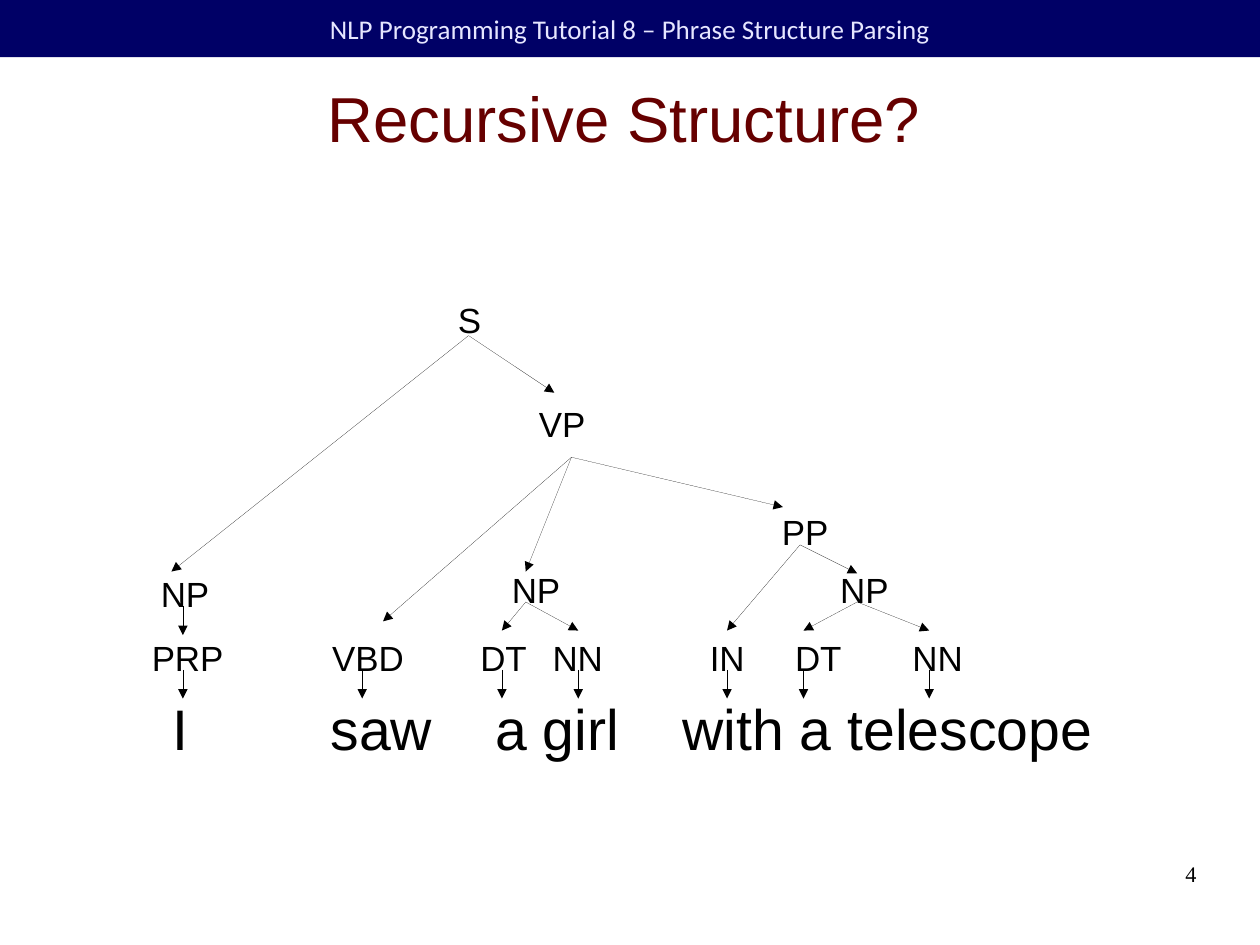
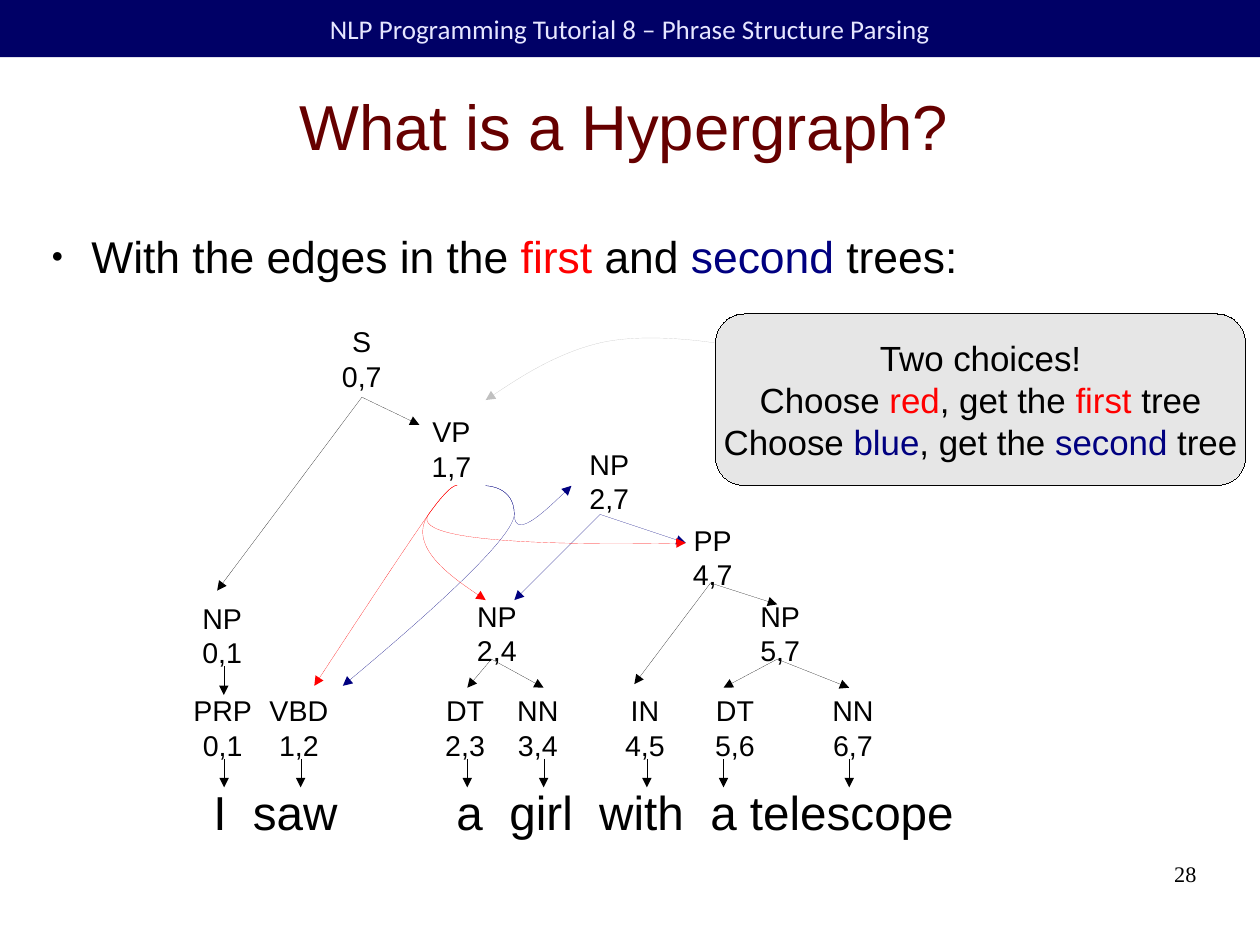
from lxml import etree
from pptx import Presentation
from pptx.dml.color import RGBColor
from pptx.enum.shapes import MSO_CONNECTOR, MSO_SHAPE
from pptx.enum.text import MSO_ANCHOR, MSO_AUTO_SIZE, PP_ALIGN
from pptx.oxml.ns import qn
from pptx.util import Pt

CENTER, RIGHT, LEFT = PP_ALIGN.CENTER, PP_ALIGN.RIGHT, PP_ALIGN.LEFT
TOP, MIDDLE = MSO_ANCHOR.TOP, MSO_ANCHOR.MIDDLE
STRAIGHT, RECT, ROUND = MSO_CONNECTOR.STRAIGHT, MSO_SHAPE.RECTANGLE, MSO_SHAPE.ROUNDED_RECTANGLE

WIDTH, HEIGHT = 793.75, 595.25
BLACK, WHITE, RED, NAVY, SILVER = "000000", "FFFFFF", "FF0000", "000080", "C0C0C0"
BAND, BAND_TEXT, MAROON, PALE_GRAY = "000066", "E6E6FF", "660000", "E6E6E6"
INSETS = (7.2, 3.6, 7.2, 3.6)
NO_INSETS = (0, 0, 0, 0)
HEADER = "NLP Programming Tutorial 8 – Phrase Structure Parsing"

RECURSIVE = {
    "title": "Recursive Structure?", "title_top": 27.8, "number": "4",
    "words": ["I", "saw", "a girl", "with a telescope"], "tabs": [99.6, 203.4, 321.4],
    "words_box": (101.5, 433, 605, 47.5), "words_size": 36,
    "tag_size": 22, "tag_height": 31.7, "default_width": 44,
    "tag_widths": {"PRP": 59, "VBD": 59, "IN": 36, "S": 29},
    "leaf_top": 397.5,
    "leaves": [("PRP", 118.2), ("VBD", 231.8), ("DT", 317.2), ("NN", 364),
               ("IN", 458.2), ("DT", 515.5), ("NN", 590.7)],
    "inner": [("NP", 544.6, 354.7), ("NP", 337.7, 354.7), ("PP", 507.2, 317.8),
              ("VP", 354.2, 250), ("S", 295.7, 184.3), ("NP", 116.6, 357.4)],
    "leaf_arrow_x": [115.2, 228.2, 316.2, 364.3, 458, 506.2, 585.4], "leaf_arrow_top": 422,
    "edges": [
        ((295.2, 211.4), [(108, 360), (349.2, 247.4)], BLACK),
        ((360, 288), [(241.3, 391.4), (331.2, 360), (493.2, 319.4)], BLACK),
        ((504, 343.2), [(458, 397.2), (540, 361.2)], BLACK),
        ((540, 379.2), [(506.2, 397.2), (585.4, 397.2)], BLACK),
        ((331.2, 379.2), [(316.2, 397.2), (364.3, 397.2)], BLACK),
        ((115.2, 382), [(115.2, 400)], BLACK),
    ],
}

HYPERGRAPH = {
    "title": "What is a Hypergraph?", "title_top": 33.4, "number": "28",
    "words": ["I", "saw", "a", "girl", "with", "a telescope"],
    "tabs": [24.8, 153, 186.4, 243, 313],
    "words_box": (127.4, 489.6, 491, 40.3), "words_size": 30,
    "tag_size": 18, "tag_height": 47.5, "default_width": 40,
    "tag_widths": {"PRP": 51, "VBD": 51},
    "leaf_top": 433.2,
    "leaves": [("PRP\n0,1", 140.3), ("VBD\n1,2", 188.3), ("DT\n2,3", 293), ("NN\n3,4", 338.8),
               ("IN\n4,5", 406.3), ("DT\n5,6", 463), ("NN\n6,7", 537.3)],
    "inner": [("NP\n5,7", 491.5, 373.7), ("NP\n2,4", 313, 373.7), ("PP\n4,7", 449, 325.8),
              ("VP\n1,7", 284.4, 257.5), ("S\n0,7", 227.9, 200.7), ("NP\n2,7", 383.8, 277.7),
              ("NP\n0,1", 140, 375)],
    "leaf_arrow_x": [141.2, 189.4, 294.4, 342.5, 407.5, 455.8, 535], "leaf_arrow_top": 478,
    "edges": [
        ((489.6, 415.2), [(455.8, 433.2), (535, 433.2)], BLACK),
        ((309.6, 415.2), [(294.4, 433.2), (342.5, 433.2)], BLACK),
        ((447.6, 367.2), [(399.6, 431), (489.6, 380.7)], BLACK),
        ((228, 250.2), [(264.2, 267.6), (136.8, 372)], BLACK),
        ((141, 419.8), [(141, 437.8)], BLACK),
        ((378, 324), [(432, 342), (324, 378)], NAVY),
    ],
}

BLUE_STEM = [(306, 306), (306, 306), (324, 306), (324, 324)]
RED_STEM = [(288, 306), (288, 306), (285, 303), (270, 324)]
HYPEREDGES = [
    (BLUE_STEM + [(324, 342), (216, 432), (216, 432)], NAVY),
    (RED_STEM + [(255, 345), (198, 432), (198, 432)], RED),
    (RED_STEM + [(255, 345.6), (306, 378), (306, 378)], RED),
    (RED_STEM + [(255, 345.6), (432, 342), (432, 342)], RED),
    ([(450, 216), (450, 216), (408, 209), (378, 216), (348, 223), (306, 252), (306, 252)], SILVER),
    (BLUE_STEM + [(324, 342), (360, 306), (360, 306)], NAVY),
]

BULLET = [("With the edges in the ", BLACK), ("first", RED), (" and ", BLACK),
          ("second", NAVY), (" trees:", BLACK)]
CHOICES = [[("Two choices!", BLACK)]] + [
    [("Choose ", BLACK), (pick, color), (", get the ", BLACK), (tree, color), (" tree", BLACK)]
    for pick, tree, color in [("red", "first", RED), ("blue", "second", NAVY)]]


def rgb(value):
    return RGBColor.from_string(value)


def points(values):
    return [Pt(v) for v in values]


def add_xml(parent, tag, **attrs):
    return etree.SubElement(parent, qn(tag), attrs)


def write(tf, paragraphs, size, font="Arial", align=CENTER, anchor=TOP, insets=INSETS, wrap=True):
    left, top, right, bottom = points(insets)
    frame = {"margin_left": left, "margin_top": top, "margin_right": right, "margin_bottom": bottom,
             "auto_size": MSO_AUTO_SIZE.NONE, "word_wrap": wrap, "vertical_anchor": anchor}
    for name, value in frame.items():
        setattr(tf, name, value)
    for i, runs in enumerate(paragraphs):
        p = tf.add_paragraph() if i else tf.paragraphs[0]
        p.alignment = align
        for text, color in runs:
            r = p.add_run()
            r.text = text
            r.font.name, r.font.size = font, Pt(size)
            r.font.color.rgb = rgb(color)


def text_box(s, box, paragraphs, size, **fmt):
    sp = s.shapes.add_textbox(*points(box))
    write(sp.text_frame, paragraphs, size, **fmt)
    return sp


def place(sp, box):
    sp.left, sp.top, sp.width, sp.height = points(box)


def filled_shape(s, kind, box, fill):
    sp = s.shapes.add_shape(kind, *points(box))
    sp.shadow.inherit = False
    sp.fill.solid()
    sp.fill.fore_color.rgb = rgb(fill)
    return sp


def hairline(sp, color):
    sp.line.color.rgb = rgb(color)
    ln = sp.element.spPr.find(qn("a:ln"))
    ln.set("w", "0")
    return ln


def arrow_line(sp, color):
    add_xml(hairline(sp, color), "a:tailEnd", type="triangle")


def arrow(s, start, end, color):
    c = s.shapes.add_connector(STRAIGHT, *points(start + end))
    arrow_line(c, color)
    add_xml(c.element.spPr, "a:effectLst")


def curve(s, knots, color):
    start, *rest = [tuple(points(knot)) for knot in knots]
    builder = s.shapes.build_freeform(*start)
    builder.add_line_segments(rest, close=False)
    sp = builder.convert_to_shape()
    sp.shadow.inherit = False
    sp.fill.background()
    arrow_line(sp, color)
    segments = sp.element.xpath(".//a:lnTo")
    outline = segments[0].getparent()
    for i in range(0, len(segments), 3):
        bezier = add_xml(outline, "a:cubicBezTo")
        for segment in segments[i:i + 3]:
            bezier.append(segment[0])
            outline.remove(segment)


def add_band(prs, s):
    sp = filled_shape(s, RECT, (0, 0, WIDTH, 36), BAND)
    sp.line.fill.background()
    write(sp.text_frame, [[(HEADER, BAND_TEXT)]], 17, font="Calibri", anchor=MIDDLE)
    sp.element.nvSpPr.cNvPr.set("id", "99")
    prs.slide_master.shapes.element.append(sp.element)


def add_words(s, tree):
    sp = text_box(s, tree["words_box"], [[("\t".join(tree["words"]), BLACK)]],
                  tree["words_size"], align=LEFT)
    tabs = add_xml(sp.text_frame.paragraphs[0]._p.get_or_add_pPr(), "a:tabLst")
    for tab in tree["tabs"]:
        add_xml(tabs, "a:tab", pos=str(Pt(tab)), algn="l")


def add_tree(s, tree):
    place(s.shapes.title, (36, tree["title_top"], 714, 91.4))
    write(s.shapes.title.text_frame, [[(tree["title"], MAROON)]], 40, anchor=MIDDLE, insets=NO_INSETS)
    add_words(s, tree)
    arrow_top = tree["leaf_arrow_top"]
    for x in tree["leaf_arrow_x"]:
        arrow(s, (x, arrow_top), (x, arrow_top + 18), BLACK)
    for start, ends, color in tree["edges"]:
        for end in ends:
            arrow(s, start, end, color)
    leaves = [(label, center, tree["leaf_top"]) for label, center in tree["leaves"]]
    for label, center, top in leaves + tree["inner"]:
        lines = label.split("\n")
        width = tree["tag_widths"].get(lines[0], tree["default_width"])
        text_box(s, (center - width / 2, top, width, tree["tag_height"]),
                 [[(line, BLACK)] for line in lines], tree["tag_size"], wrap=False)
    text_box(s, (568.8, 542, 185, 41), [[(tree["number"], BLACK)]], 14,
             font="Times New Roman", align=RIGHT, insets=NO_INSETS)


def add_bullet(s):
    body = s.placeholders[1]
    place(body, (23.8, 144, 642, 36))
    p = body.text_frame.paragraphs[0]
    p.space_before, p.space_after = Pt(0), Pt(14.2)
    pPr = p._p.get_or_add_pPr()
    pPr.set("marL", str(Pt(33.8)))
    pPr.set("indent", str(Pt(-25.2)))
    add_xml(add_xml(pPr, "a:buClr"), "a:srgbClr", val=BLACK)
    add_xml(pPr, "a:buSzPct", val="45000")
    add_xml(pPr, "a:buChar", char="●")
    write(body.text_frame, [BULLET], 28, align=LEFT, insets=NO_INSETS)


def add_callout(s):
    sp = filled_shape(s, ROUND, (450.7, 197.8, 334, 108), PALE_GRAY)
    hairline(sp, BLACK)
    write(sp.text_frame, CHOICES, 22, anchor=MIDDLE, wrap=False)


def main():
    prs = Presentation()
    prs.slide_width, prs.slide_height = points((WIDTH, HEIGHT))
    background = prs.slide_master.background.fill
    background.solid()
    background.fore_color.rgb = rgb(WHITE)

    s = prs.slides.add_slide(prs.slide_layouts[5])
    add_band(prs, s)
    add_tree(s, RECURSIVE)

    s = prs.slides.add_slide(prs.slide_layouts[1])
    add_bullet(s)
    add_tree(s, HYPERGRAPH)
    for knots, color in HYPEREDGES:
        curve(s, knots, color)
    add_callout(s)

    prs.save("out.pptx")


if __name__ == "__main__":
    main()
